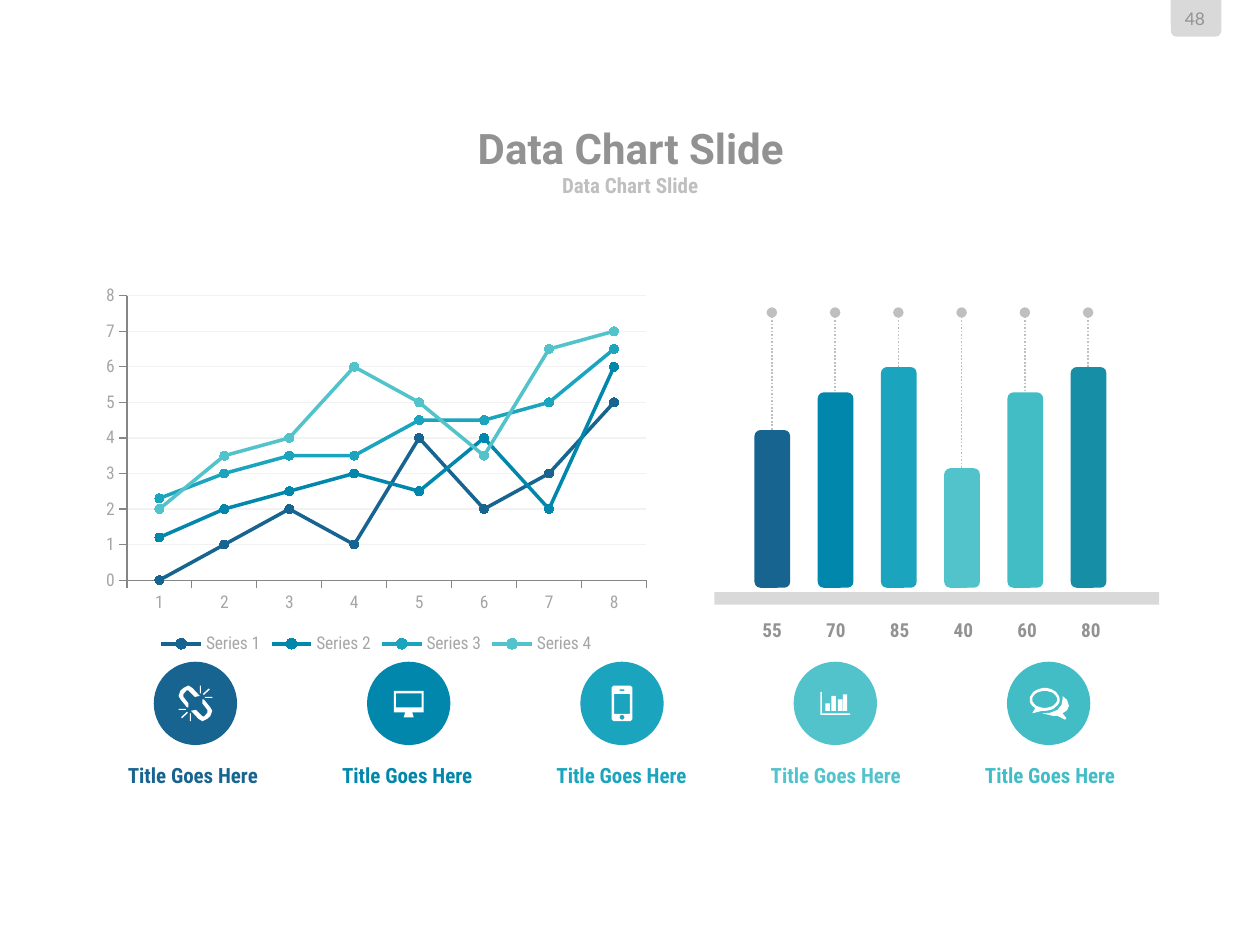
import math
from dataclasses import dataclass

import pptx
import pptx.chart.data
import pptx.dml.color
import pptx.enum.chart
import pptx.enum.dml
import pptx.enum.shapes
import pptx.enum.text
import pptx.oxml
import pptx.oxml.ns
import pptx.util
from pptx.util import Cm

SHAPE = pptx.enum.shapes.MSO_SHAPE
ALIGN = pptx.enum.text.PP_ALIGN
ANCHOR = pptx.enum.text.MSO_ANCHOR
CONDENSED = "Roboto Condensed"
GREY, LIGHT, PALE = "929292", "BFBFBF", "D9D9D9"
NAVY, BLUE, CYAN, AQUA, TEAL, DEEP = "176490", "0187AC", "1AA4BE", "52C3CB", "42BDC6", "168EA6"


@dataclass
class Bar:
    value: str
    height: float
    color: str


@dataclass
class Topic:
    color: str
    icon: list


def rgb(code: str):
    return pptx.dml.color.RGBColor.from_string(code)


def rect(x1, y1, x2, y2) -> list:
    return [(x1, y1), (x2, y1), (x2, y2), (x1, y2)]


def bevel(x, y, cut) -> list:
    return [(-x + cut, -y), (x - cut, -y), (x, -y + cut), (x, y - cut),
            (x - cut, y), (-x + cut, y), (-x, y - cut), (-x, -y + cut)]


def arc(cx, cy, rx, ry, start=0, end=360) -> list:
    angles = [math.radians(start + (end - start) * i / 40) for i in range(41)]
    return [(cx + rx * math.cos(a), cy + ry * math.sin(a)) for a in angles]


def opposite(points: list) -> list:
    return [(-x, -y) for x, y in points]


HALF_LINK = [
    [(-1, -13), (-14, -26), (-18, -26), (-24, -19), (-24, -13), (-14, 0), (-14, 8), (-17, 8),
     (-30, -8), (-34, -15), (-30, -26), (-24, -31), (-14, -36), (-6, -31), (6, -18), (9, -15)],
    rect(-34, 11, -19, 13),
    rect(-11, 20, -9, 36),
    [(-29, 28), (-17, 17), (-15, 19), (-27, 30)],
]
LINK = HALF_LINK + [opposite(points) for points in HALF_LINK]
MONITOR = [
    [(-30, -25), (30, -25), (30, 18), (7, 18), (10, 28), (-10, 28), (-7, 18), (-30, 18)],
    rect(-26, -20, 26, 8),
]
PHONE = [bevel(21, 36, 4), rect(-16, -19, 16, 21), rect(-5, -28, 5, -25), arc(0, 28, 5, 5)]
COLUMNS = [
    [(-30, -23), (-27, -23), (-27, 20), (30, 20), (30, 23), (-30, 23)],
    *[rect(x, y, x + 9, 15) for x, y in ((-20, 0), (-8, -15), (5, -8), (15, -18))],
]
CHAT = [
    arc(-8, -8, 30, 23, 130, 460) + [(-33, 20)],
    arc(-8, -8, 25, 17),
    [(28, -15), (37, -7), (41, 5), (37, 14), (28, 20), (36, 30), (33, 33), (18, 25),
     (8, 25), (-13, 20), (3, 19), (18, 13), (26, 3), (28, -8)],
]

BARS = [Bar("55", 3.18, NAVY), Bar("70", 3.94, BLUE), Bar("85", 4.45, CYAN),
        Bar("40", 2.41, AQUA), Bar("60", 3.94, TEAL), Bar("80", 4.45, DEEP)]
TOPICS = [Topic(NAVY, LINK), Topic(BLUE, MONITOR), Topic(CYAN, PHONE),
          Topic(AQUA, COLUMNS), Topic(TEAL, CHAT)]
SERIES = [
    ("Series 1", NAVY, (0, 1, 2, 1, 4, 2, 3, 5)),
    ("Series 2", BLUE, (1.2, 2, 2.5, 3, 2.5, 4, 2, 6)),
    ("Series 3", CYAN, (2.3, 3, 3.5, 3.5, 4.5, 4.5, 5, 6.5)),
    ("Series 4", AQUA, (2, 3.5, 4, 6, 5, 3.5, 6.5, 7)),
]


def write(sp, text: str, size: int, color: str, font=CONDENSED, bold=True,
          align=ALIGN.CENTER, anchor=ANCHOR.MIDDLE, wrap=True) -> None:
    tf = sp.text_frame
    tf.text = text
    tf.auto_size = pptx.enum.text.MSO_AUTO_SIZE.NONE
    tf.word_wrap = wrap
    tf.vertical_anchor = anchor
    tf.margin_left = tf.margin_right = tf.margin_top = tf.margin_bottom = 0
    p = tf.paragraphs[0]
    p.alignment = align
    f = p.runs[0].font
    f.name, f.size, f.bold = font, pptx.util.Pt(size), bold
    f.color.rgb = rgb(color)


def add_text(s, x: float, y: float, w: float, h: float, *args, **kwargs) -> None:
    write(s.shapes.add_textbox(Cm(x), Cm(y), Cm(w), Cm(h)), *args, **kwargs)


def paint(sp, color: str) -> None:
    sp.shadow.inherit = False
    sp.fill.solid()
    sp.fill.fore_color.rgb = rgb(color)
    sp.line.fill.background()


def add_filled(s, kind, x: float, y: float, w: float, h: float, color: str):
    sp = s.shapes.add_shape(kind, Cm(x), Cm(y), Cm(w), Cm(h))
    paint(sp, color)
    return sp


def add_icon(s, cx: float, cy: float, contours: list) -> None:
    moved = [[(cx * 100 + x, cy * 100 + y) for x, y in points] for points in contours]
    fb = s.shapes.build_freeform(*moved[0][0], scale=Cm(0.01))
    for i, points in enumerate(moved):
        if i:
            fb.move_to(*points[0])
        fb.add_line_segments(points[1:], close=True)
    paint(fb.convert_to_shape(), "FFFFFF")


def add_bar(s, i: int, bar: Bar) -> None:
    x = 15.21 + 1.275 * i
    straight = pptx.enum.shapes.MSO_CONNECTOR.STRAIGHT
    cn = s.shapes.add_connector(straight, Cm(x + 0.35), Cm(11.81), Cm(x + 0.35), Cm(6.3))
    cn.line.color.rgb = rgb(LIGHT)
    cn.line.width = pptx.util.Pt(1)
    cn.line.dash_style = pptx.enum.dml.MSO_LINE.ROUND_DOT
    end = pptx.oxml.parse_xml(f'<a:tailEnd {pptx.oxml.ns.nsdecls("a")} type="oval"/>')
    cn.line._get_or_add_ln().append(end)
    cn._element.spPr.append(pptx.oxml.parse_xml(f'<a:effectLst {pptx.oxml.ns.nsdecls("a")}/>'))
    sp = add_filled(s, SHAPE.ROUNDED_RECTANGLE, x, 11.85 - bar.height, 0.72, bar.height, bar.color)
    sp.adjustments[0] = 0.17
    add_text(s, 15.37 + 1.285 * i, 12.47, 0.53, 0.56, bar.value, 11, GREY,
             align=ALIGN.LEFT, anchor=ANCHOR.TOP, wrap=False)


def add_topic(s, i: int, topic: Topic) -> None:
    x = 3.1 + 4.3 * i
    add_filled(s, SHAPE.OVAL, x, 13.34, 1.68, 1.68, topic.color)
    add_icon(s, x + 0.84, 14.18, topic.icon)
    add_text(s, 2.34 + 4.32 * i, 15.37, 3.1, 0.51, "Title Goes Here", 12, topic.color,
             anchor=ANCHOR.TOP)


def add_line_chart(s) -> None:
    data = pptx.chart.data.CategoryChartData()
    data.categories = [str(n) for n in range(1, 9)]
    for name, _, values in SERIES:
        data.add_series(name, values)
    kind = pptx.enum.chart.XL_CHART_TYPE.LINE_MARKERS
    ch = s.shapes.add_chart(kind, Cm(1.91), Cm(5.61), Cm(11.35), Cm(7.67), data).chart
    ch.has_title = False
    ch.font.name, ch.font.size = CONDENSED, pptx.util.Pt(10)
    ch.font.color.rgb = rgb("A6A6A6")
    ch.has_legend = True
    ch.legend.position = pptx.enum.chart.XL_LEGEND_POSITION.BOTTOM
    ch.legend.include_in_layout = False
    for axis in (ch.category_axis, ch.value_axis):
        axis.major_tick_mark = pptx.enum.chart.XL_TICK_MARK.OUTSIDE
        axis.format.line.color.rgb = rgb("868686")
    va = ch.value_axis
    va.minimum_scale, va.maximum_scale, va.major_unit = 0, 8, 1
    va.major_gridlines.format.line.color.rgb = rgb("F2F2F2")
    va.major_gridlines.format.line.width = pptx.util.Pt(0.75)
    ch.plots[0].vary_by_categories = False
    for ser, (_, color, _) in zip(ch.plots[0].series, SERIES):
        ser.smooth = False
        ser.format.line.color.rgb = rgb(color)
        ser.format.line.width = pptx.util.Pt(2)
        ser.marker.style = pptx.enum.chart.XL_MARKER_STYLE.CIRCLE
        ser.marker.size = 5
        ser.marker.format.fill.solid()
        ser.marker.format.fill.fore_color.rgb = rgb(color)
        ser.marker.format.line.color.rgb = rgb(color)


def main() -> None:
    prs = pptx.Presentation()
    prs.slide_width, prs.slide_height = Cm(25.4), Cm(19.05)
    s = prs.slides.add_slide(prs.slide_layouts[5])
    tab = add_filled(s, SHAPE.ROUND_2_SAME_RECTANGLE, 23.6, 0, 1.02, 0.74, PALE)
    tab.rotation = 180
    add_text(s, 23.67, 0.15, 0.84, 0.43, "48", 10, GREY, font="Lato", bold=False)
    title = s.shapes.title
    title.left, title.top, title.width, title.height = Cm(4.88), Cm(2.49), Cm(15.67), Cm(0.99)
    write(title, "Data Chart Slide", 24, GREY, font="Roboto", wrap=False)
    add_text(s, 6.99, 3.45, 11.43, 0.56, "Data Chart Slide", 12, LIGHT, wrap=False)
    add_line_chart(s)
    add_filled(s, SHAPE.RECTANGLE, 14.4, 11.94, 8.97, 0.25, PALE)
    for i, bar in enumerate(BARS):
        add_bar(s, i, bar)
    for i, topic in enumerate(TOPICS):
        add_topic(s, i, topic)
    prs.save("out.pptx")


if __name__ == "__main__":
    main()
